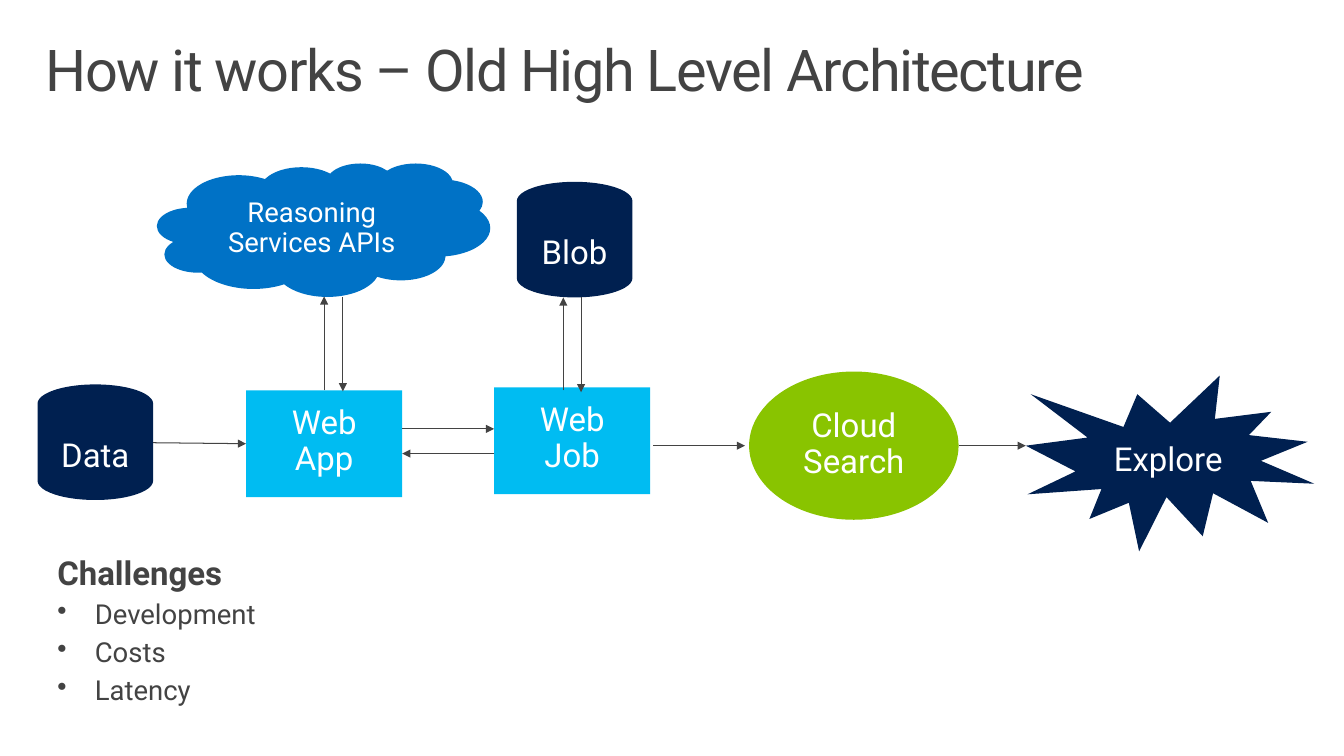
"""Build the slide that shows the old high level architecture."""
from lxml.etree import SubElement
from pptx import Presentation
from pptx.dml.color import RGBColor
from pptx.enum.shapes import MSO_CONNECTOR, MSO_SHAPE
from pptx.enum.text import MSO_ANCHOR, PP_ALIGN
from pptx.oxml.ns import qn
from pptx.util import Emu, Pt

PX = 9144
THEME = {
    "font": "Roboto", "ink": "434343", "white": "FFFFFF", "navy": "002050",
    "sky": "00BCF2", "blue": "0072C6", "green": "89C400",
    "title": 42, "large": 24, "small": 20, "line": 0.75,
}


def px(*nums):
    return [Emu(num * PX) for num in nums]


def write(shape, text, size, color, align=PP_ALIGN.LEFT, pad=(20, 16)):
    frame = shape.text_frame
    frame.word_wrap = True
    frame.vertical_anchor = MSO_ANCHOR.TOP
    frame.margin_left = frame.margin_right = Emu(pad[0] * PX)
    frame.margin_top = frame.margin_bottom = Emu(pad[1] * PX)
    frame.text = text
    for para in frame.paragraphs:
        para.alignment = align
        para.line_spacing = 0.9
        font = para.runs[0].font
        font.name = THEME["font"]
        font.size = Pt(THEME[size])
        font.color.rgb = RGBColor.from_string(THEME[color])
    return frame.paragraphs


deck = Presentation()
deck.slide_width, deck.slide_height = px(1360, 765)
slide = deck.slides.add_slide(deck.slide_layouts[6])
shapes = slide.shapes

title = shapes.add_textbox(*px(30, 32, 1300, 100))
head = write(title, "How it works – Old High Level Architecture",
             "title", "ink", pad=(16, 10))
head[0].runs[0]._r.get_or_add_rPr().set("spc", "-100")

DISK = MSO_SHAPE.FLOWCHART_MAGNETIC_DISK
STEPS = [
    ("Data", DISK, "navy", "large", (38, 389, 117, 117)),
    ("Web App", MSO_SHAPE.RECTANGLE, "sky", "large", (249, 395, 158, 108)),
    ("Reasoning Services APIs", MSO_SHAPE.CLOUD, "blue", "small",
     (159, 165, 337, 135)),
    ("Web Job", MSO_SHAPE.RECTANGLE, "sky", "large", (500, 392, 158, 108)),
    ("Cloud Search", MSO_SHAPE.OVAL, "green", "large", (758, 376, 212, 150)),
    ("Explore", MSO_SHAPE.EXPLOSION1, "navy", "large", (1038, 380, 292, 178)),
    ("Blob", DISK, "navy", "large", (523, 184, 117, 117)),
]
nodes = {}
for name, kind, fill, size, area in STEPS:
    node = shapes.add_shape(kind, *px(*area))
    node.shadow.inherit = False
    node.fill.solid()
    node.fill.fore_color.rgb = RGBColor.from_string(THEME[fill])
    node.line.fill.background()
    write(node, name, size, "white", PP_ALIGN.CENTER)
    nodes[name] = node

ARROWS = [
    (155, 448, 249, 449),
    (328, 395, 328, 300),
    (347, 301, 347, 396),
    (407, 434, 500, 434),
    (500, 459, 407, 459),
    (661, 451, 754, 451),
    (970, 451, 1038, 451),
    (570, 395, 570, 301),
    (588, 301, 588, 397),
]
links = []
for ends in ARROWS:
    link = shapes.add_connector(MSO_CONNECTOR.STRAIGHT, *px(*ends))
    link.line.color.rgb = RGBColor.from_string(THEME["ink"])
    link.line.width = Pt(THEME["line"])
    SubElement(link.line._get_or_add_ln(), qn("a:tailEnd"), type="triangle")
    SubElement(link._element.spPr, qn("a:effectLst"))
    links.append(link)
links[0].end_connect(nodes["Web App"], 1)
links[1].begin_connect(nodes["Web App"], 0)

notes = shapes.add_textbox(*px(38, 548, 417, 185))
lines = write(notes, "Challenges\nDevelopment\nCosts\nLatency", "small", "ink")
for para in lines:
    para.space_after = Pt(6)
lines[0].runs[0].font.size = Pt(THEME["large"])
lines[0].runs[0].font.bold = True
for para in lines[1:]:
    props = para._p.get_or_add_pPr()
    props.set("marL", str(38 * PX))
    props.set("indent", str(-38 * PX))
    SubElement(props, qn("a:buChar"), char="•")

deck.save("out.pptx")
